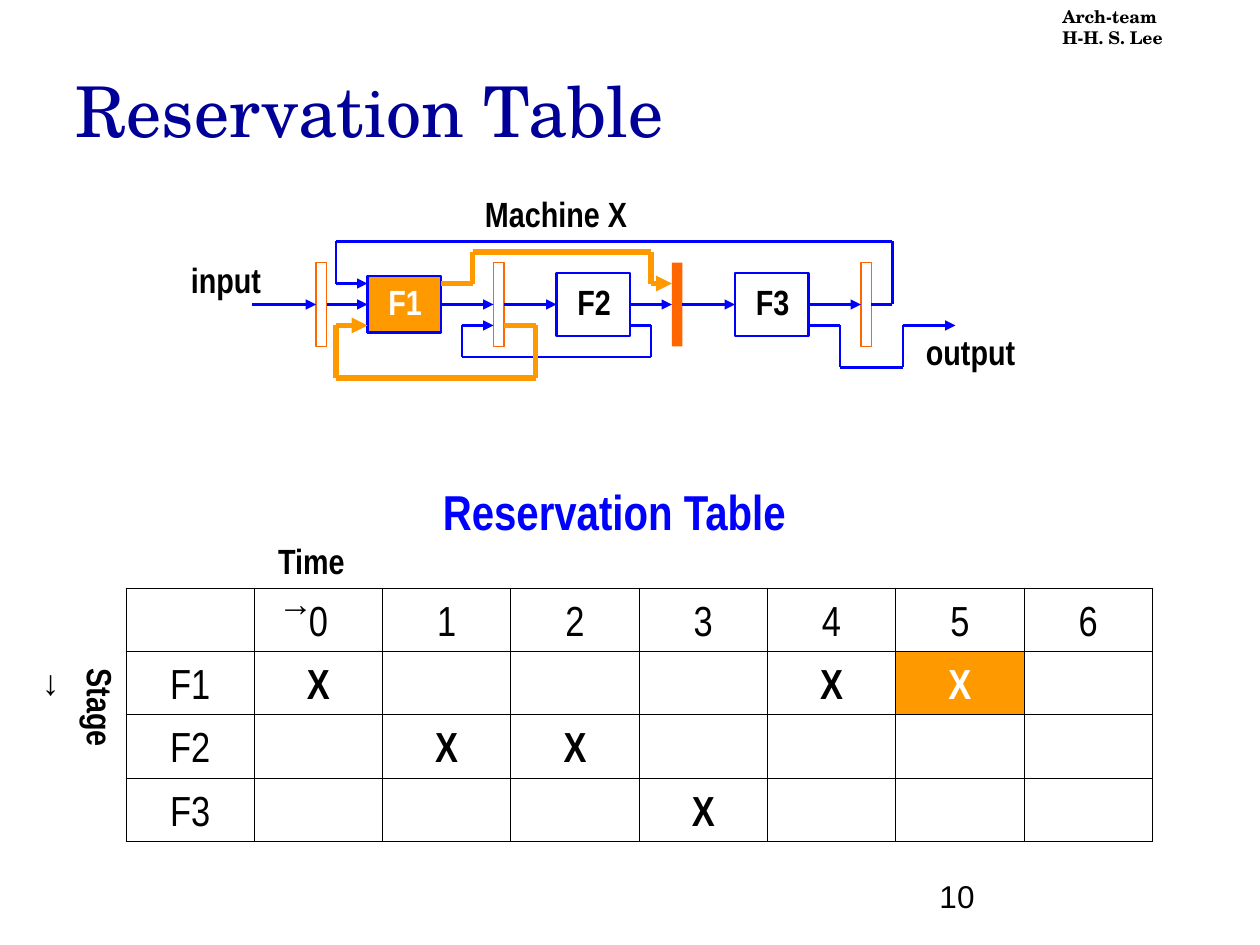
import pptx
import pptx.util
import pptx.dml.color
import pptx.enum.shapes
import pptx.enum.text
import pptx.oxml
import pptx.oxml.ns
import itertools

RGBColor = pptx.dml.color.RGBColor
BLACK = RGBColor(0x00, 0x00, 0x00)
WHITE = RGBColor(0xFF, 0xFF, 0xFF)
NAVY = RGBColor(0x00, 0x00, 0x99)
BLUE = RGBColor(0x00, 0x00, 0xFF)
AMBER = RGBColor(0xFF, 0x99, 0x00)
ORANGE = RGBColor(0xFF, 0x66, 0x00)
NARROW, SERIF, SANS = "Arial Narrow", "TeX Gyre Schola", "Arial"
LABEL = {"name": NARROW, "size": pptx.util.Pt(20), "bold": True}
DRAWING = pptx.oxml.ns.nsdecls("a")
RECTANGLE = pptx.enum.shapes.MSO_SHAPE.RECTANGLE
STRAIGHT = pptx.enum.shapes.MSO_CONNECTOR.STRAIGHT
TOP = pptx.enum.text.MSO_ANCHOR.TOP
BOTTOM = pptx.enum.text.MSO_ANCHOR.BOTTOM

deck = pptx.Presentation()
deck.slide_width, deck.slide_height = pptx.util.Inches(10), pptx.util.Inches(7.5)
page = deck.slides.add_slide(deck.slide_layouts[6])

# The page is a grid of 120 columns by 90 rows
UNIT = deck.slide_width / 120


def add_text(place, paragraphs, formats, color=BLACK, wrap=False, anchor=TOP):
    """Each paragraph is a list of (text, font overrides) spans."""
    box = page.shapes.add_textbox(*(round(value * UNIT) for value in place))
    frame = box.text_frame
    frame.word_wrap = wrap
    frame.vertical_anchor = anchor
    for index, spans in enumerate(paragraphs):
        para = frame.paragraphs[0] if index == 0 else frame.add_paragraph()
        for text, overrides in spans:
            span = para.add_run()
            span.text = text
            span.font.color.rgb = color
            for key, value in {**formats, **overrides}.items():
                setattr(span.font, key, value)
    return box


def add_line(start, end, color=BLUE, width=1.5, arrow=False):
    line = page.shapes.add_connector(
        STRAIGHT, *(round(value * UNIT) for value in (*start, *end)))
    line.line.color.rgb = color
    line.line.width = pptx.util.Pt(width)
    if arrow:
        line.line._get_or_add_ln().append(
            pptx.oxml.parse_xml(f'<a:tailEnd {DRAWING} type="triangle"/>'))
    line._element.spPr.append(pptx.oxml.parse_xml(f"<a:effectLst {DRAWING}/>"))
    return line


# Course mark and title
add_text((100, 0, 20, 5.28), [[("Arch-team", {})], [("H-H. S. Lee", {})]],
         {"name": SERIF, "size": pptx.util.Pt(10), "bold": True}, wrap=True)
add_text((6, 4, 102, 11), [[("Reservation Table", {})]],
         {"name": SERIF, "size": pptx.util.Pt(40)}, NAVY, True, BOTTOM)

# Stages and pipeline registers: left, top, width, height, fill, line, line width
parts = {
    "R1": (30.1, 25, 1, 8, WHITE, ORANGE, 1),
    "F1": (35, 26.3, 7, 5.4, AMBER, BLUE, 1.5),
    "R2": (47, 25, 1, 8, WHITE, ORANGE, 1),
    "F2": (53, 26, 7, 6, None, BLUE, 1.5),
    "R3": (64, 25, 1, 8, ORANGE, None, 0),
    "F3": (70, 26, 7, 6, None, BLUE, 1.5),
    "R4": (82, 25, 1, 8, WHITE, ORANGE, 1),
}
blocks = {}
for name, (left, top, width, height, fill, outline, weight) in parts.items():
    block = page.shapes.add_shape(
        RECTANGLE, *(round(value * UNIT) for value in (left, top, width, height)))
    block.shadow.inherit = False
    if fill is None:
        block.fill.background()
    else:
        block.fill.solid()
        block.fill.fore_color.rgb = fill
    if outline is None:
        block.line.fill.background()
    else:
        block.line.color.rgb = outline
        block.line.width = pptx.util.Pt(weight)
    blocks[name] = block
    if name.startswith("F"):
        add_text((left + 0.8, 26.16, 6, 5.28), [[(name, {})]], LABEL,
                 WHITE if fill == AMBER else BLACK)

# Forward path along the middle row
add_line((24, 29), (30, 29), arrow=True).end_connect(blocks["R1"], 1)
for source, target in itertools.pairwise(blocks.values()):
    link = add_line((30, 29), (35, 29), arrow=True)
    link.begin_connect(source, 3)
    link.end_connect(target, 1)
add_line((83, 29), (85, 29)).begin_connect(blocks["R4"], 3)

# Feedback, loop, output and highlighted routes, each a chain of corners
routes = [
    (BLUE, 1.5, [(85, 29), (85, 23), (32, 23), (32, 27), (35, 27)]),
    (BLUE, 1.5, [(60, 31), (62, 31), (62, 34), (44, 34), (44, 31), (47, 31)]),
    (BLUE, 1.5, [(77, 31), (80, 31), (80, 35), (86, 35), (86, 31), (91, 31)]),
    (AMBER, 3, [(42, 27), (45, 27), (45, 24), (62, 24), (62, 27), (64, 27)]),
    (AMBER, 3, [(48, 31), (51, 31), (51, 36), (32, 36), (32, 31), (35, 31)]),
]
for color, width, corners in routes:
    for start, end in itertools.pairwise(corners):
        add_line(start, end, color, width, arrow=end == corners[-1])

# Diagram labels
for text, place in [("Machine X", (45, 17.76, 16, 5.28)),
                    ("input", (17, 24, 9.12, 5.28)),
                    ("output", (87, 30.84, 10.9, 5.28))]:
    add_text(place, [[(text, {})]], LABEL)

# Reservation table
add_text((41, 45.25, 35.3, 6.85), [[("Reservation Table", {})]],
         {**LABEL, "size": pptx.util.Pt(28)}, BLUE)
rows = [
    ["", "0", "1", "2", "3", "4", "5", "6"],
    ["F1", "X", "", "", "", "X", "X", ""],
    ["F2", "", "X", "X", "", "", "", ""],
    ["F3", "", "", "", "X", "", "", ""],
]
table = page.shapes.add_table(4, 8, *(
    round(value * UNIT) for value in (12, 56, 97.76, 24.12))).table
table.first_row = table.horz_banding = False
for row, values in enumerate(rows):
    for column, text in enumerate(values):
        cell = table.cell(row, column)
        highlighted = (row, column) == (1, 6)
        cell.vertical_anchor = BOTTOM
        if highlighted:
            cell.fill.solid()
            cell.fill.fore_color.rgb = AMBER
        else:
            cell.fill.background()
        properties = cell._tc.get_or_add_tcPr()
        for index, side in enumerate("LRTB"):
            properties.insert(index, pptx.oxml.parse_xml(
                f'<a:ln{side} {DRAWING} w="{pptx.util.Pt(0.45)}"><a:solidFill>'
                f'<a:srgbClr val="{BLACK}"/></a:solidFill></a:ln{side}>'))
        if text:
            para = cell.text_frame.paragraphs[0]
            para.alignment = pptx.enum.text.PP_ALIGN.CENTER
            span = para.add_run()
            span.text = text
            span.font.color.rgb = WHITE if highlighted else BLACK
            for key, value in {"name": NARROW, "size": pptx.util.Pt(24),
                               "bold": text == "X"}.items():
                setattr(span.font, key, value)

# Axis labels and page number
for text, place, angle in [("Time ", (25.3, 50.75, 12.25, 5.28), 0),
                           ("Stage ", (2.9, 66.5, 13.3, 5.28), 90)]:
    axis = add_text(place, [[(text, {}), ("→", {"name": SANS})]], LABEL, wrap=True)
    axis.rotation = angle
add_text((88.3, 81.7, 25, 6), [[("10", {})]],
         {"name": SANS, "size": pptx.util.Pt(18)}, wrap=True, anchor=BOTTOM)

deck.save("out.pptx")
